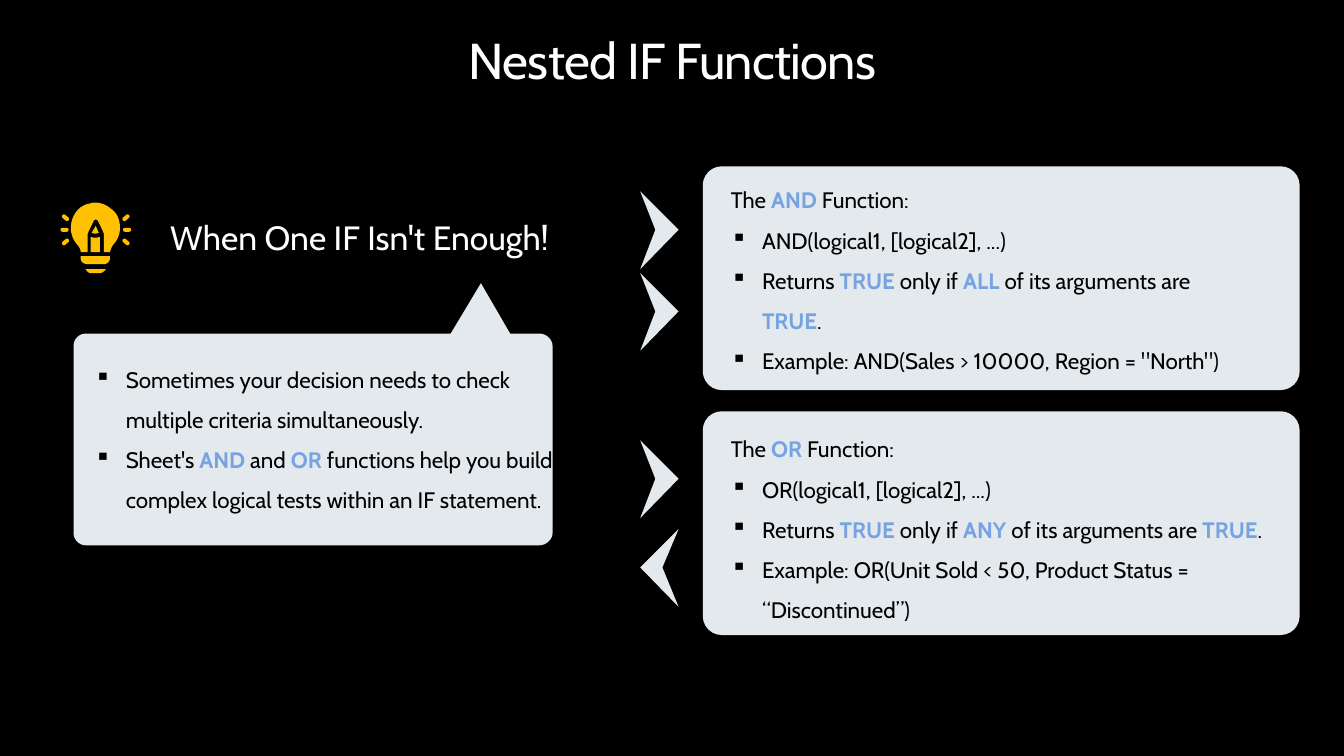
"""Build the slide on nested IF functions."""
from dataclasses import dataclass
from math import cos, pi, sin

from lxml import etree
from pptx import Presentation
from pptx.dml.color import RGBColor
from pptx.enum.shapes import MSO_SHAPE
from pptx.enum.text import MSO_ANCHOR, MSO_AUTO_SIZE, PP_ALIGN
from pptx.oxml.ns import qn
from pptx.util import Inches, Pt

ROUND = MSO_SHAPE.ROUNDED_RECTANGLE
MIDDLE, TOP = MSO_ANCHOR.MIDDLE, MSO_ANCHOR.TOP
CENTER = PP_ALIGN.CENTER
GROW = MSO_AUTO_SIZE.SHAPE_TO_FIT_TEXT

BLACK = RGBColor(0x00, 0x00, 0x00)
WHITE = RGBColor(0xFF, 0xFF, 0xFF)
PALE = RGBColor(0xE3, 0xE9, 0xED)
BLUE = RGBColor(0x78, 0xA3, 0xE2)
GOLD = RGBColor(0xFF, 0xC0, 0x00)
FACE = "Cabin"
BULLET = "▪"
STEPS = 8

Point = tuple[float, float]


@dataclass
class Note:
    left: float
    top: float
    width: float
    height: float
    lines: list[str]
    size: int = 16
    color: RGBColor = BLACK
    anchor: MSO_ANCHOR = MIDDLE
    space: float = 1.5


@dataclass
class Arrow:
    top: float
    back: bool = False


HINT = Note(1.59, 2.1, 6.67, 0.91, ["When One IF Isn't Enough!"], 24, WHITE, TOP, 1.0)
REASON = Note(0.84, 3.26, 4.83, 2.07, [
    BULLET + "Sometimes your decision needs to check multiple criteria simultaneously.",
    BULLET + "Sheet's *AND *and *OR* functions help you build complex logical tests"
    " within an IF statement.",
])


def rule(word: str, scope: str, sample: str) -> list[str]:
    """Return the lines that explain one function."""
    return [
        f"The *{word}* Function:",
        f"{BULLET}{word}(logical1, [logical2], ...)",
        f"{BULLET}Returns *TRUE *only if *{scope}* of its arguments are *TRUE*.",
        f"{BULLET}Example: {word}({sample})",
    ]


RULES = {
    1.65: Note(7.15, 1.68, 5.34, 2.07,
               rule("AND", "ALL", 'Sales > 10000, Region = "North"')),
    4.08: Note(7.15, 4.15, 5.74, 2.07,
               rule("OR", "ANY", "Unit Sold < 50, Product Status = “Discontinued”")),
}
ARROWS = [Arrow(1.9), Arrow(2.71), Arrow(4.37), Arrow(5.25, True)]

CALLOUT = [
    (0.85, 5.41), (0.78, 5.41, 0.73, 5.35, 0.73, 5.29), (0.73, 3.43),
    (0.73, 3.37, 0.78, 3.31, 0.85, 3.31), (4.47, 3.31), (4.77, 2.81),
    (5.06, 3.31), (5.35, 3.31), (5.42, 3.31, 5.48, 3.37, 5.48, 3.43),
    (5.48, 5.29), (5.48, 5.35, 5.42, 5.41, 5.35, 5.41),
]
BULB = [
    [(0.94, 2.01), (0.93, 2.01, 0.91, 2.01, 0.89, 2.02),
     (0.8, 2.03, 0.73, 2.11, 0.71, 2.2), (0.69, 2.28, 0.71, 2.36, 0.76, 2.42),
     (0.78, 2.44, 0.8, 2.47, 0.8, 2.5), (0.87, 2.5), (0.87, 2.32),
     (0.87, 2.31, 0.93, 2.19, 0.93, 2.19), (0.93, 2.18, 0.94, 2.18, 0.95, 2.18),
     (0.96, 2.18, 0.96, 2.18, 0.97, 2.19), (0.97, 2.19, 1.03, 2.31, 1.03, 2.32),
     (1.03, 2.5), (1.09, 2.5), (1.1, 2.47, 1.11, 2.44, 1.13, 2.42),
     (1.17, 2.37, 1.19, 2.32, 1.19, 2.26), (1.19, 2.18, 1.16, 2.11, 1.1, 2.07),
     (1.05, 2.03, 1.0, 2.01, 0.94, 2.01)],
    [(0.9, 2.35), (0.9, 2.5), (0.99, 2.5), (0.99, 2.35),
     (0.97, 2.36, 0.92, 2.36, 0.9, 2.35)],
    [(0.8, 2.54), (0.8, 2.56), (0.8, 2.6, 0.83, 2.62, 0.87, 2.62), (1.03, 2.62),
     (1.06, 2.62, 1.09, 2.6, 1.09, 2.56), (1.09, 2.54)],
    [(0.95, 2.24), (0.91, 2.31), (0.93, 2.32, 0.96, 2.32, 0.98, 2.31)],
    [(0.85, 2.67), (0.86, 2.69, 0.88, 2.71, 0.9, 2.71), (0.99, 2.71),
     (1.01, 2.71, 1.04, 2.69, 1.05, 2.67)],
]


def trace(path: list[tuple[float, ...]]) -> list[Point]:
    """Turn corners and cubic curves into points."""
    dots = [path[0]]
    for part in path[1:]:
        if len(part) == 2:
            dots.append(part)
            continue
        knots = [dots[-1], part[:2], part[2:4], part[4:]]
        for step in range(1, STEPS + 1):
            t = step / STEPS
            mix = ((1 - t) ** 3, 3 * t * (1 - t) ** 2, 3 * t * t * (1 - t), t ** 3)
            dots.append(tuple(sum(m * k[i] for m, k in zip(mix, knots)) for i in (0, 1)))
    return dots


def ray(x: float, y: float, tilt: float) -> list[Point]:
    """Return the outline of a tilted pill."""
    dots = []
    for end in (0, 1):
        turn = tilt + end * pi
        for step in range(STEPS + 1):
            bend = turn - pi / 2 + pi * step / STEPS
            dots.append((x + 0.02 * (cos(turn) + cos(bend)),
                         y + 0.02 * (sin(turn) + sin(bend))))
    return dots


def paint(shape, color: RGBColor) -> None:
    """Give a shape a plain fill without line or shadow."""
    shape.shadow.inherit = False
    shape.fill.solid()
    shape.fill.fore_color.rgb = color
    shape.line.fill.background()


def draw(shapes, dots: list[Point], color: RGBColor) -> None:
    """Draw a filled outline."""
    spots = [(Inches(x), Inches(y)) for x, y in dots]
    pen = shapes.build_freeform(*spots[0])
    pen.add_line_segments(spots[1:], close=True)
    paint(pen.convert_to_shape(), color)


def draw_bulb(shapes) -> None:
    """Draw the light bulb and its six rays."""
    parts = shapes.add_group_shape().shapes
    for side in (-1, 1):
        for row in (-1, 0, 1):
            x = 0.95 + side * (0.31 if row == 0 else 0.3)
            draw(parts, ray(x, 2.28 + row * 0.12, side * row * pi / 4.5), GOLD)
    for path in BULB:
        draw(parts, trace(path), GOLD)


def draw_arrow(shapes, arrow: Arrow) -> None:
    """Draw a notched arrowhead."""
    left, right, notch = (6.73, 6.35, 6.57) if arrow.back else (6.35, 6.73, 6.5)
    mid, low = arrow.top + 0.38, arrow.top + 0.77
    draw(shapes, [(left, arrow.top), (notch, mid), (left, low), (right, mid)], PALE)


def write(shapes, note: Note) -> None:
    """Add a text box with marked words in bold blue."""
    box = shapes.add_textbox(*map(Inches, (note.left, note.top, note.width, note.height)))
    frame = box.text_frame
    frame.word_wrap, frame.auto_size = True, GROW
    frame.vertical_anchor = note.anchor
    for index, line in enumerate(note.lines):
        para = frame.add_paragraph() if index else frame.paragraphs[0]
        para.line_spacing = note.space
        if line.startswith(BULLET):
            props = para._p.get_or_add_pPr()
            props.set("marL", str(Inches(0.31)))
            props.set("indent", str(Inches(-0.31)))
            etree.SubElement(props, qn("a:buChar"), char=BULLET)
        para.font.name, para.font.size = FACE, Pt(note.size)
        for place, text in enumerate(line.removeprefix(BULLET).split("*")):
            run = para.add_run()
            run.text = text
            run.font.bold = place % 2 == 1
            run.font.color.rgb = BLUE if place % 2 else note.color


def set_title(title, text: str) -> None:
    """Place and format the slide title."""
    title.left, title.top = Inches(0.45), Inches(0.28)
    title.width, title.height = Inches(12.44), Inches(0.7)
    title.text_frame.text = text
    title.text_frame.vertical_anchor = MIDDLE
    para = title.text_frame.paragraphs[0]
    para.alignment, para.line_spacing = CENTER, 0.9
    para.font.name, para.font.size = FACE, Pt(36)
    para.font.color.rgb = WHITE
    para.runs[0]._r.get_or_add_rPr().set("spc", "-50")


def main() -> None:
    """Build and save the deck."""
    deck = Presentation()
    deck.slide_width, deck.slide_height = Inches(13.33), Inches(7.5)
    slide = deck.slides.add_slide(deck.slide_layouts[5])
    slide.background.fill.solid()
    slide.background.fill.fore_color.rgb = BLACK
    shapes = slide.shapes
    set_title(shapes.title, "Nested IF Functions")
    draw(shapes, trace(CALLOUT), PALE)
    draw_bulb(shapes)
    write(shapes, HINT)
    write(shapes, REASON)
    for arrow in ARROWS:
        draw_arrow(shapes, arrow)
    for top, note in RULES.items():
        card = shapes.add_shape(ROUND, *map(Inches, (6.97, top, 5.92, 2.22)))
        card.adjustments[0] = 0.085
        paint(card, PALE)
        write(shapes, note)
    deck.save("out.pptx")


if __name__ == "__main__":
    main()
